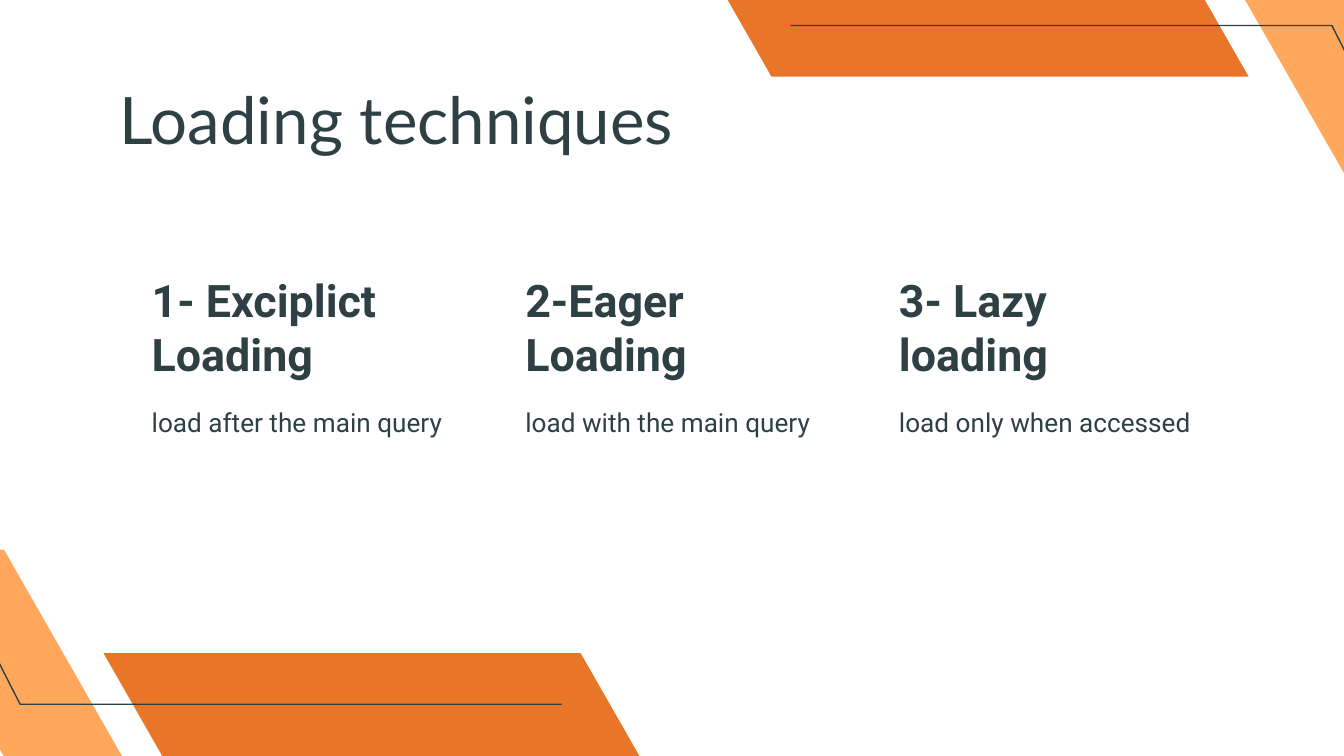
from pptx import Presentation
from pptx.dml.color import RGBColor
from pptx.enum.text import MSO_ANCHOR, PP_ALIGN
from pptx.util import Inches, Pt

INK = RGBColor(0x2F, 0x40, 0x44)
DEEP = RGBColor(0xE9, 0x75, 0x29)
LIGHT = RGBColor(0xFF, 0xA8, 0x5C)

BAR = [(5.3, -0.2), (8.85, -0.2), (9.29, 0.57), (5.74, 0.57)]
BAND = [(9.15, -0.2), (10.03, -0.2), (10.92, 1.34), (10.03, 1.34)]
TRACE = [(5.88, 0.19), (9.91, 0.19), (10.73, 1.8)]

ITEMS = [
    ("1- Exciplict Loading", "load after the main query"),
    ("2-Eager Loading", "load with the main query"),
    ("3- Lazy loading", "load only when accessed"),
]


def put_text(shape, text, font="Roboto", size=14, bold=False,
             anchor=MSO_ANCHOR.TOP, inset=0.1):
    frame = shape.text_frame
    frame.word_wrap = True
    frame.vertical_anchor = anchor
    frame.margin_left = frame.margin_right = frame.margin_bottom = Inches(0.1)
    frame.margin_top = Inches(inset)
    line = frame.paragraphs[0]
    line.alignment = PP_ALIGN.LEFT
    run = line.add_run()
    run.text = text
    run.font.name = font
    run.font.size = Pt(size)
    run.font.bold = bold
    run.font.color.rgb = INK


class Deck:
    def __init__(self, slide, ink=INK, weight=0.75):
        self.slide = slide
        self.ink = ink
        self.weight = weight

    def title(self, text, left, top, width, height):
        shape = self.slide.shapes.title
        shape.left, shape.top = Inches(left), Inches(top)
        shape.width, shape.height = Inches(width), Inches(height)
        put_text(shape, text, font="Lato", size=35, inset=0)

    def label(self, text, left, top, width, height, **style):
        box = self.slide.shapes.add_textbox(
            Inches(left), Inches(top), Inches(width), Inches(height))
        put_text(box, text, **style)

    def outline(self, points, close):
        spots = [(Inches(x), Inches(y)) for x, y in points]
        form = self.slide.shapes.build_freeform(*spots[0])
        form.add_line_segments(spots[1:], close=close)
        shape = form.convert_to_shape()
        shape.shadow.inherit = False
        return shape

    def panel(self, points, color):
        shape = self.outline(points, True)
        shape.fill.solid()
        shape.fill.fore_color.rgb = color
        shape.line.fill.background()

    def trace(self, points):
        shape = self.outline(points, False)
        shape.fill.background()
        shape.line.color.rgb = self.ink
        shape.line.width = Pt(self.weight)

    def corner(self, turn=False):
        def place(points):
            if not turn:
                return points
            return [(10.06 - x, 5.43 - y) for x, y in points]

        self.panel(place(BAR), DEEP)
        self.panel(place(BAND), LIGHT)
        self.trace(place(TRACE))


def main():
    show = Presentation()
    show.slide_width = Inches(10)
    show.slide_height = show.slide_width * 9 // 16
    deck = Deck(show.slides.add_slide(show.slide_layouts[5]))
    deck.corner()
    deck.title("Loading techniques", 0.79, 0.59, 8.43, 0.57)
    for col, (head, note) in enumerate(ITEMS):
        left = 1.03 + col * 2.78
        deck.label(note, left, 2.92, 2.38, 0.95)
        deck.label(head, left, 2.35, 2.38, 0.58, size=24, bold=True,
                   anchor=MSO_ANCHOR.BOTTOM)
    deck.corner(turn=True)
    show.save("out.pptx")


if __name__ == "__main__":
    main()
